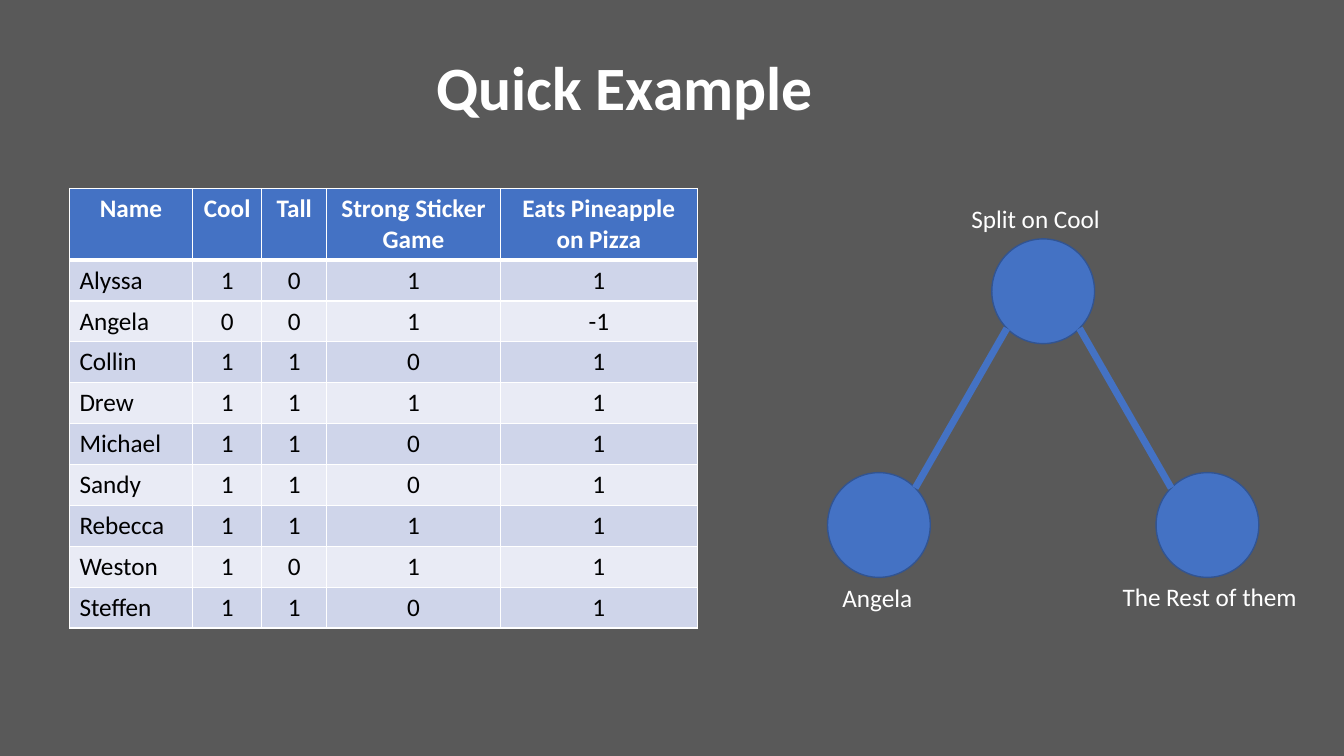
from math import sqrt

from lxml import etree
from pptx import Presentation
from pptx import util as u
from pptx.dml.color import RGBColor
from pptx.enum import shapes, text
from pptx.oxml import ns

FONT = "Calibri"
COLORS = {
    "back": "595959",
    "white": "FFFFFF",
    "black": "000000",
    "blue": "4472C4",
    "edge": "325491",
    "odd": "CFD5EA",
    "even": "E9EBF5",
}
HEADS = ["Name", "Cool", "Tall", "Strong Sticker Game",
         "Eats Pineapple on Pizza"]
PEOPLE = [
    ("Alyssa", 1, 0, 1, 1),
    ("Angela", 0, 0, 1, -1),
    ("Collin", 1, 1, 0, 1),
    ("Drew", 1, 1, 1, 1),
    ("Michael", 1, 1, 0, 1),
    ("Sandy", 1, 1, 0, 1),
    ("Rebecca", 1, 1, 1, 1),
    ("Weston", 1, 0, 1, 1),
    ("Steffen", 1, 1, 0, 1),
]
WIDTHS = [3.1, 1.75, 1.63, 4.38, 4.96]
NODE_W, NODE_H = 2.59, 2.64


def paint(name):
    return RGBColor.from_string(COLORS[name])


def style(frame, size, color, bold=False, align=text.PP_ALIGN.LEFT):
    for para in frame.paragraphs:
        para.alignment = align
        for run in para.runs:
            run.font.name = FONT
            run.font.size = u.Pt(size)
            run.font.bold = bold
            run.font.color.rgb = paint(color)


def add_title(slide, words):
    title = slide.shapes.title
    title.left, title.top = u.Cm(10.74), u.Cm(0.43)
    title.width, title.height = u.Cm(10.11), u.Cm(3.68)
    frame = title.text_frame
    frame.text = words
    frame.auto_size = text.MSO_AUTO_SIZE.NONE
    frame.vertical_anchor = text.MSO_ANCHOR.MIDDLE
    frame.paragraphs[0].line_spacing = 0.9
    style(frame, 44, "white", bold=True)


def add_edges(cell, base):
    """Draw white cell borders; base is the bottom width in points."""
    props = cell._tc.get_or_add_tcPr()
    sides = {"lnL": 1, "lnR": 1, "lnT": 1, "lnB": base}
    for spot, (tag, width) in enumerate(sides.items()):
        line = etree.Element(ns.qn("a:" + tag), w=str(u.Pt(width)))
        fill = etree.SubElement(line, ns.qn("a:solidFill"))
        etree.SubElement(fill, ns.qn("a:srgbClr"), val=COLORS["white"])
        props.insert(spot, line)


def add_grid(slide):
    rows = [HEADS] + PEOPLE
    high = [1.78] + [1.03] * len(PEOPLE)
    grid = slide.shapes.add_table(
        len(rows), len(HEADS), u.Cm(1.75), u.Cm(4.75),
        u.Cm(sum(WIDTHS)), u.Cm(sum(high))).table
    for col, width in zip(grid.columns, WIDTHS):
        col.width = u.Cm(width)
    for r, row in enumerate(rows):
        grid.rows[r].height = u.Cm(high[r])
        head = r == 0
        fill = "blue" if head else "odd" if r % 2 else "even"
        for c, value in enumerate(row):
            cell = grid.cell(r, c)
            cell.text_frame.text = str(value)
            left = c == 0 and not head
            style(cell.text_frame, 18, "white" if head else "black", head,
                  text.PP_ALIGN.LEFT if left else text.PP_ALIGN.CENTER)
            cell.fill.solid()
            cell.fill.fore_color.rgb = paint(fill)
            # The rule under the header is shared with the first row
            add_edges(cell, 3 if head else 1)


def add_node(slide, x, y):
    """Draw a tree node centred on x, y."""
    node = slide.shapes.add_shape(
        shapes.MSO_SHAPE.OVAL, u.Cm(x - NODE_W / 2), u.Cm(y - NODE_H / 2),
        u.Cm(NODE_W), u.Cm(NODE_H))
    node.shadow.inherit = False
    node.fill.solid()
    node.fill.fore_color.rgb = paint("blue")
    node.line.color.rgb = paint("edge")
    node.line.width = u.Pt(1)


def add_branch(slide, root, leaf):
    """Join the facing diagonal points of two nodes."""
    side = 1 if leaf[0] > root[0] else -1
    dx, dy = side * NODE_W / 2 / sqrt(2), NODE_H / 2 / sqrt(2)
    line = slide.shapes.add_connector(
        shapes.MSO_CONNECTOR.STRAIGHT,
        u.Cm(root[0] + dx), u.Cm(root[1] + dy),
        u.Cm(leaf[0] - dx), u.Cm(leaf[1] - dy))
    line.line.color.rgb = paint("blue")
    line.line.width = u.Pt(5)
    etree.SubElement(line._element.spPr, ns.qn("a:effectLst"))


def add_label(slide, words, x, y, width):
    box = slide.shapes.add_textbox(u.Cm(x), u.Cm(y), u.Cm(width), u.Cm(1.03))
    frame = box.text_frame
    frame.word_wrap = True
    frame.text = words
    style(frame, 18, "white")


def main():
    deck = Presentation()
    deck.slide_width, deck.slide_height = u.Cm(33.87), u.Cm(19.05)
    slide = deck.slides.add_slide(deck.slide_layouts[5])
    slide.background.fill.solid()
    slide.background.fill.fore_color.rgb = paint("back")

    # Title and data
    add_title(slide, "Quick Example")
    add_grid(slide)

    # Decision tree
    root = (26.29, 7.34)
    leaves = [(root[0] + step, 13.23) for step in (-4.14, 4.14)]
    for spot in [root] + leaves:
        add_node(slide, *spot)
    for leaf in leaves:
        add_branch(slide, root, leaf)

    # Node labels
    add_label(slide, "Split on Cool", 24.23, 5, 4.14)
    add_label(slide, "Angela", 20.98, 14.55, 2.59)
    add_label(slide, "The Rest of them", 28.04, 14.53, 4.95)

    deck.save("out.pptx")


if __name__ == "__main__":
    main()
